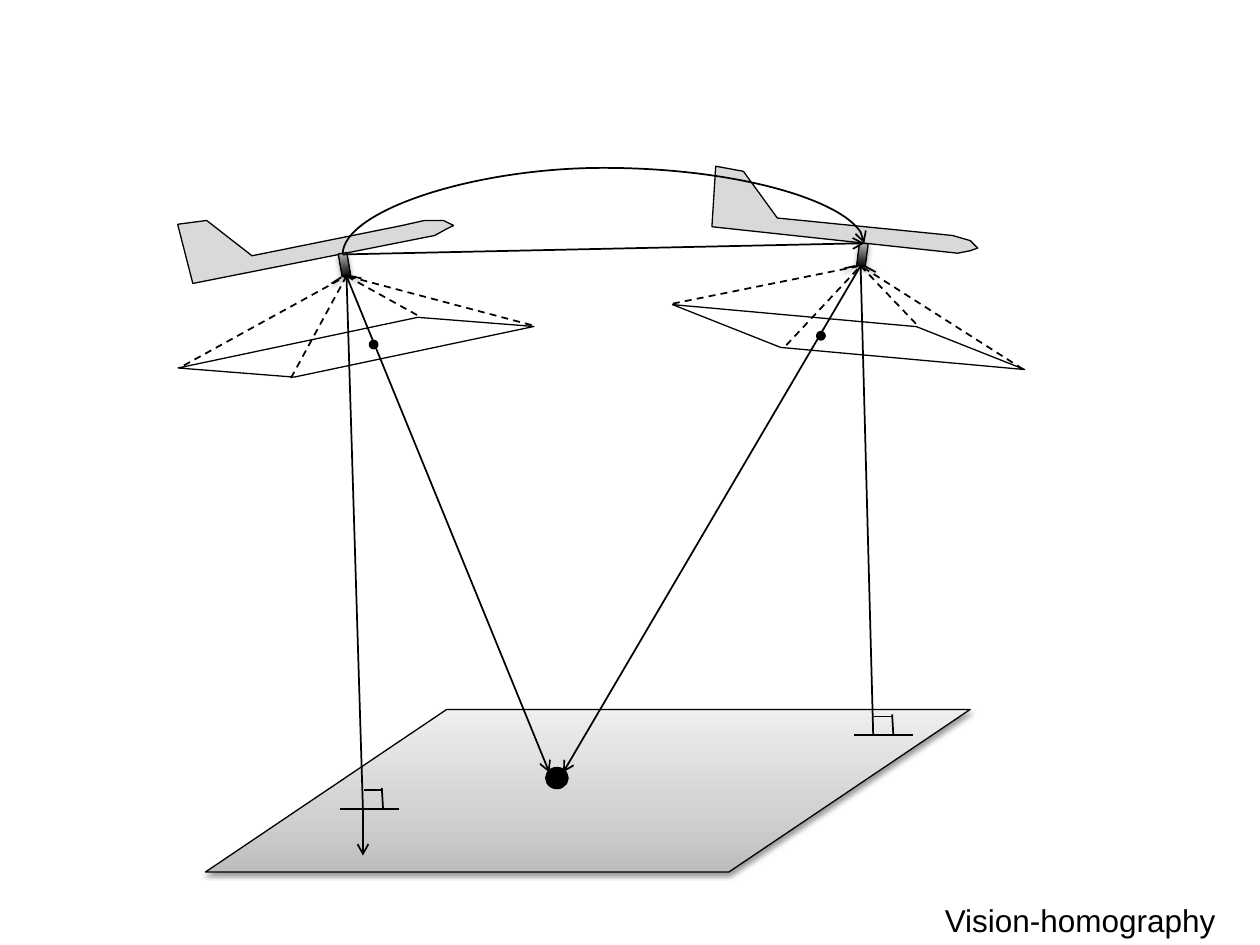
from copy import deepcopy
from lxml.etree import SubElement as Sub
from pptx import Presentation
from pptx.dml.color import RGBColor as Rgb
from pptx.enum.dml import MSO_LINE as Dash
from pptx.enum.shapes import MSO_CONNECTOR as Link, MSO_SHAPE as Form
from pptx.oxml.ns import qn
from pptx.util import Pt

theme = {
    "ink": Rgb(0, 0, 0), "paper": Rgb(255, 255, 255),
    "plane": Rgb(0xD9, 0xD9, 0xD9), "font": "Arial", "size": Pt(18),
    "ground": [(0, "BDBDBD"), (0.35, "D1D1D1"), (1, "EEEEEE")],
    "sensor": [(0, "000000"), (1, "BDBDBD")],
    "thin": 0.75, "line": 1, "dot": 2,
}


def style(shape, fill, width, shade=0):
    """Fill (a colour, a list of stops, or None for a line), outline, shadow."""
    shape.line.color.rgb = theme["ink"]
    shape.line.width = Pt(width)
    if isinstance(fill, list):
        shape.fill.gradient()
        shape.fill.gradient_angle = 90
        stops = shape.fill.gradient_stops
        if len(fill) > len(stops):
            first = shape._element.spPr.find(".//" + qn("a:gs"))
            first.addnext(deepcopy(first))
        for stop, (place, tone) in zip(shape.fill.gradient_stops, fill):
            stop.position = place
            stop.color.rgb = Rgb.from_string(tone)
    elif fill is not None:
        shape.fill.solid()
        shape.fill.fore_color.rgb = fill
    glow = Sub(shape._element.spPr, qn("a:effectLst"))
    if shade:
        drop = Sub(glow, qn("a:outerShdw"), blurRad=str(Pt(3.1)),
                   dist=str(Pt(1.6)), dir="5400000", rotWithShape="0")
        tone = Sub(drop, qn("a:srgbClr"), val=str(theme["ink"]))
        Sub(tone, qn("a:alpha"), val=str(shade * 1000))


def join(home, start, end, arrow=False, dash=False, shade=0, kind=Link.STRAIGHT):
    """Connector from start to end, with an optional arrow at the end."""
    link = home.add_connector(kind, *map(Pt, start + end))
    style(link, None, theme["line"], shade)
    if dash:
        link.line.dash_style = Dash.DASH
    if arrow:
        Sub(link.line._get_or_add_ln(), qn("a:tailEnd"), type="arrow")
    return link


deck = Presentation()
deck.slide_width, deck.slide_height = Pt(720), Pt(540)
slide = deck.slides.add_slide(deck.slide_layouts[6])
shapes = slide.shapes

# Ground plane
ground = shapes.add_shape(Form.PARALLELOGRAM, Pt(117.4), Pt(405.4), Pt(437), Pt(92.9))
ground.adjustments[0] = 1.484
style(ground, theme["ground"], theme["thin"], 38)

# Two aircraft: outline, image frame, sensor, rays at the frame corners
views = [
    {"hull": [(101.5, 128.2), (110.2, 162), (248.4, 134.6), (254.9, 131),
              (259.2, 128.9), (253.4, 126), (242.6, 126), (229.7, 128.9),
              (144, 146.2), (118.1, 126)],
     "frame": (103, 178.6), "tilt": 4.5, "sensor": (194.4, 144.7), "lean": -9.8,
     "stubs": [((195.1, 158.4), (189.4, 162)), ((200.2, 157.7), (206.6, 159.1))],
     "mount": (195.8, 145.4), "lens": (198, 157.7),
     "rays": [(166.3, 216), (303.8, 185.8), (105.1, 208.8), (238.3, 180)],
     "aim": (313.9, 441.4), "dot": (211.7, 195.1), "foot": (207.4, 462.2), "bar": 194.4},
    {"hull": [(409, 95), (406.8, 129.6), (547.2, 144.7), (554.4, 143.3),
              (558.7, 141.8), (554.4, 137.5), (544.3, 134.6), (530.6, 133.2),
              (444.2, 124.6), (424.8, 97.9)],
     "frame": (384.5, 172.8), "tilt": 21.6, "sensor": (490.3, 139), "lean": 7.3,
     "stubs": [((488.9, 151.9), (482.4, 153.4)), ((493.9, 151.9), (500.4, 155.5))],
     "mount": (493.9, 139), "lens": (491.8, 151.9),
     "rays": [(384.5, 173.5), (449.3, 197.3), (584.6, 211), (523.4, 185)],
     "aim": (321.8, 441.4), "dot": (467.3, 190.1), "foot": (499, 420.2), "bar": 488.2},
]
for view in views:
    craft = shapes.add_group_shape().shapes
    pen = craft.build_freeform(*map(Pt, view["hull"][0]))
    pen.add_line_segments([(Pt(x), Pt(y)) for x, y in view["hull"][1:]])
    style(pen.convert_to_shape(), theme["plane"], theme["thin"])

    frame = craft.add_shape(Form.PARALLELOGRAM, *map(Pt, view["frame"]), Pt(200.9), Pt(39.6))
    frame.adjustments[0] = 3.392
    frame.rotation = view["tilt"]
    style(frame, theme["paper"], theme["thin"])

    sensor = craft.add_shape(Form.RECTANGLE, *map(Pt, view["sensor"]), Pt(5), Pt(13))
    sensor.rotation = view["lean"]
    style(sensor, theme["sensor"], theme["thin"], 35)
    for start, end in view["stubs"]:
        join(craft, start, end, shade=38)

# Motion between the aircraft: straight and curved
(x1, y1), (x2, y2) = [view["mount"] for view in views]
join(shapes, (x1, y1), (x2, y2), arrow=True)
midx, midy = (x1 + x2) / 2, (y1 + y2) / 2
wide, drop, bulge = (x2 - x1) / 2, (y1 - y2) / 2, 49.4
arc = join(shapes, (midx + drop, midy + wide), (midx - drop, midy - wide),
           arrow=True, kind=Link.CURVE)
arc._element.spPr.find(qn("a:xfrm")).set("rot", "5400000")
Sub(arc._element.spPr.find(".//" + qn("a:avLst")), qn("a:gd"), name="adj1",
    fmla=f"val {round(bulge / (2 * drop) * 100000)}")

# Sight lines, frame edges, plumb lines and right-angle marks
for view in views:
    lens, (x, y), bar = view["lens"], view["foot"], view["bar"]
    join(shapes, lens, view["aim"], arrow=True)
    for ray in view["rays"]:
        join(shapes, ray, lens, dash=True)
    join(shapes, lens, (x, y))
    join(shapes, (x + 11.5, y), (x + 10.8, y - 12))
    join(shapes, (x + 10.8, y - 10.8), (x + 0.7, y - 10.8))
    join(shapes, (bar, y), (bar + 33.5, y))
x, y = views[0]["foot"]
join(shapes, (x, y), (x, 488.9), arrow=True)

# Target point and its two image points
dots = [(312.5, 439.2, 11.5, 10.8)] + [view["dot"] + (3.6, 3.6) for view in views]
for box in dots:
    style(shapes.add_shape(Form.OVAL, *map(Pt, box)), theme["ink"], theme["dot"])

# Caption
note = shapes.add_textbox(Pt(532.8), Pt(511.2), Pt(172), Pt(28.8)).text_frame
note.word_wrap = False
line = note.paragraphs[0]
line.text = "Vision-homography"
line.font.name, line.font.size = theme["font"], theme["size"]
line.font.color.rgb = theme["ink"]

deck.save("out.pptx")
